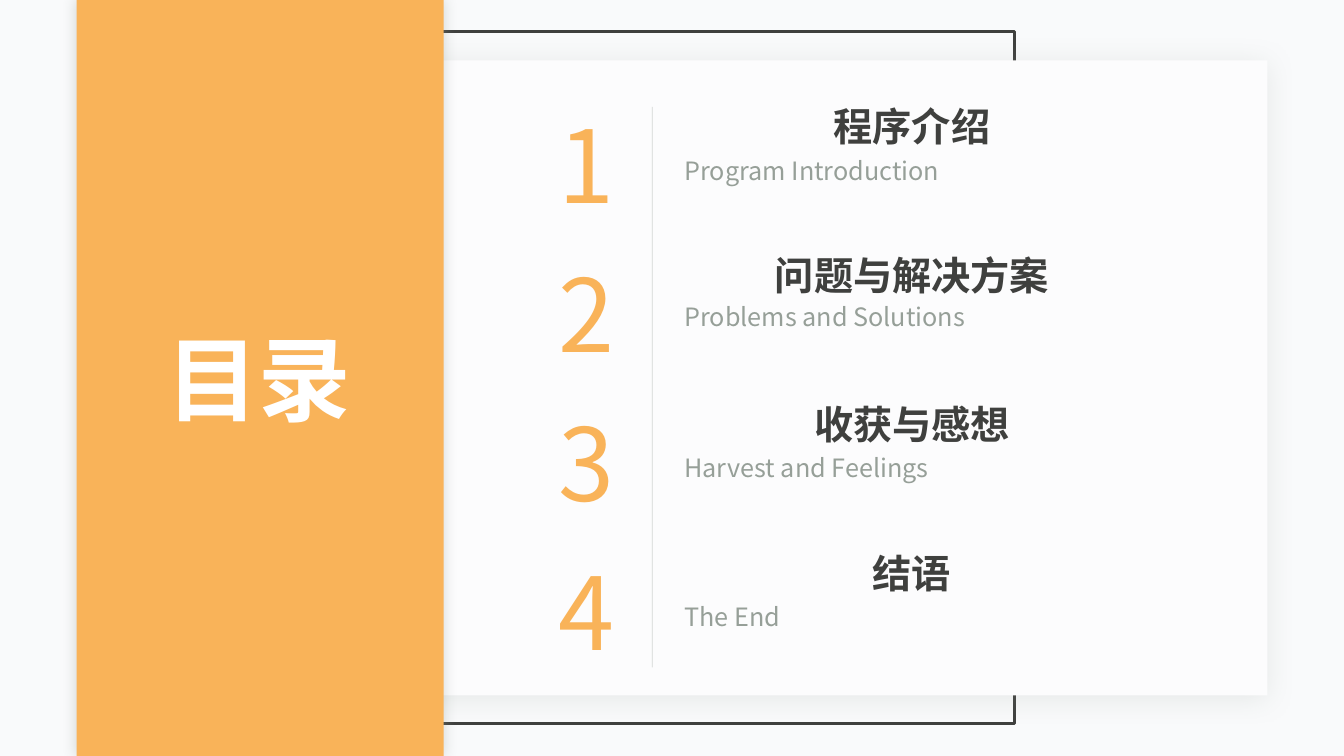
import pptx
import pptx.dml.color
import pptx.enum.shapes
import pptx.enum.text
import pptx.oxml
import pptx.oxml.ns
import pptx.util
from lxml import etree

Inches = pptx.util.Inches
Pt = pptx.util.Pt
ALIGN = pptx.enum.text.PP_ALIGN
qn = pptx.oxml.ns.qn
NS = pptx.oxml.ns.nsdecls("a")

FONT = "Noto Sans CJK SC"
ORANGE, DARK, GRAY = "F9B359", "3F403E", "969F98"
COLORS = {name: pptx.dml.color.RGBColor.from_string(name)
          for name in (ORANGE, DARK, GRAY, "F9FAFB", "FCFCFD", "FFFFFF")}

prs = pptx.Presentation()
prs.slide_width, prs.slide_height = Inches(13.33), Inches(7.5)
s = prs.slides.add_slide(prs.slide_layouts[5])
s.background.fill.solid()
s.background.fill.fore_color.rgb = COLORS["F9FAFB"]


def add_rect(left, top, width, height, fill=None, shadow=None):
    """Add a rectangle; shadow is (alpha %, blur pt, distance pt, angle)."""
    sp = s.shapes.add_shape(pptx.enum.shapes.MSO_SHAPE.RECTANGLE, Inches(left),
                            Inches(top), Inches(width), Inches(height))
    sp.shadow.inherit = False
    if fill:
        sp.fill.solid()
        sp.fill.fore_color.rgb = COLORS[fill]
        sp.line.fill.background()
    else:
        sp.fill.background()
        sp.line.color.rgb = COLORS[DARK]
        sp.line.width = Pt(2)
    if shadow:
        alpha, blur, dist, angle = shadow
        effects = sp._element.spPr.find(qn("a:effectLst"))
        effects.append(pptx.oxml.parse_xml(
            f'<a:outerShdw {NS} blurRad="{Pt(blur)}" dist="{Pt(dist)}" '
            f'dir="{angle * 60000}" algn="ctr" rotWithShape="0">'
            f'<a:srgbClr val="{GRAY}"><a:alpha val="{alpha * 1000}"/>'
            f'</a:srgbClr></a:outerShdw>'))


def set_text(sp, text, size, color, align=ALIGN.CENTER, bold=False, wrap=False):
    """Fill a text shape with one formatted paragraph and return it."""
    tf = sp.text_frame
    tf.word_wrap = wrap
    tf.auto_size = pptx.enum.text.MSO_AUTO_SIZE.NONE
    tf.vertical_anchor = pptx.enum.text.MSO_ANCHOR.TOP
    p = tf.paragraphs[0]
    p.text = text
    p.alignment = align
    p.font.size, p.font.bold, p.font.name = Pt(size), bold, FONT
    p.font.color.rgb = COLORS[color]
    etree.SubElement(p._p.pPr.find(qn("a:defRPr")), qn("a:ea"), typeface=FONT)
    return p


# Frame and card
add_rect(2.54, 0.31, 7.52, 6.87)
add_rect(2.35, 0.6, 10.22, 6.3, "FCFCFD", (20, 20, 3, 90))

# Divider between numbers and entries
line = s.shapes.add_connector(pptx.enum.shapes.MSO_CONNECTOR.STRAIGHT, Inches(6.47),
                              Inches(1.06), Inches(6.47), Inches(6.62))
line.line.color.rgb = COLORS[GRAY]
line.line.width = Pt(0.5)
etree.SubElement(line._element.spPr.find(".//" + qn("a:srgbClr")),
                 qn("a:alpha"), val="40000")
etree.SubElement(line._element.spPr, qn("a:effectLst"))

# Contents entries: heading, translation, top of the translation
entries = [
    ("程序介绍", "Program Introduction", 1.43),
    ("问题与解决方案", "Problems and Solutions", 2.88),
    ("收获与感想", "Harvest and Feelings", 4.38),
    ("结语", "The End", 5.86),
]
first_top, last_top = 0.97, 5.4
pitch = (last_top - first_top) / (len(entries) - 1)
for i, (heading, translation, translation_top) in enumerate(entries):
    top = Inches(first_top + i * pitch)
    box = s.shapes.add_textbox(Inches(7.57), top, Inches(2.95), Inches(0.57))
    set_text(box, heading, 28, DARK, bold=True)

    box = s.shapes.add_textbox(Inches(6.69), Inches(translation_top),
                               Inches(4.93), Inches(0.44))
    p = set_text(box, translation, 18, GRAY, ALIGN.LEFT, wrap=True)
    p.line_spacing = 1.2

    box = s.shapes.add_textbox(Inches(5.44), top, Inches(0.75), Inches(1.31))
    p = set_text(box, str(i + 1), 72, ORANGE)
    p._p.pPr.find(qn("a:defRPr")).set("spc", "-300")

# Title band, with the title moved to the front
add_rect(0.76, 0, 3.64, 7.5, ORANGE, (40, 10, 0, 0))
title = s.shapes.title
title.left, title.top = Inches(1.55), Inches(3.15)
title.width, title.height = Inches(2.05), Inches(1.21)
set_text(title, "目录", 66, "FFFFFF", ALIGN.LEFT, bold=True)
s.shapes._spTree.append(title._element)

prs.save("out.pptx")
